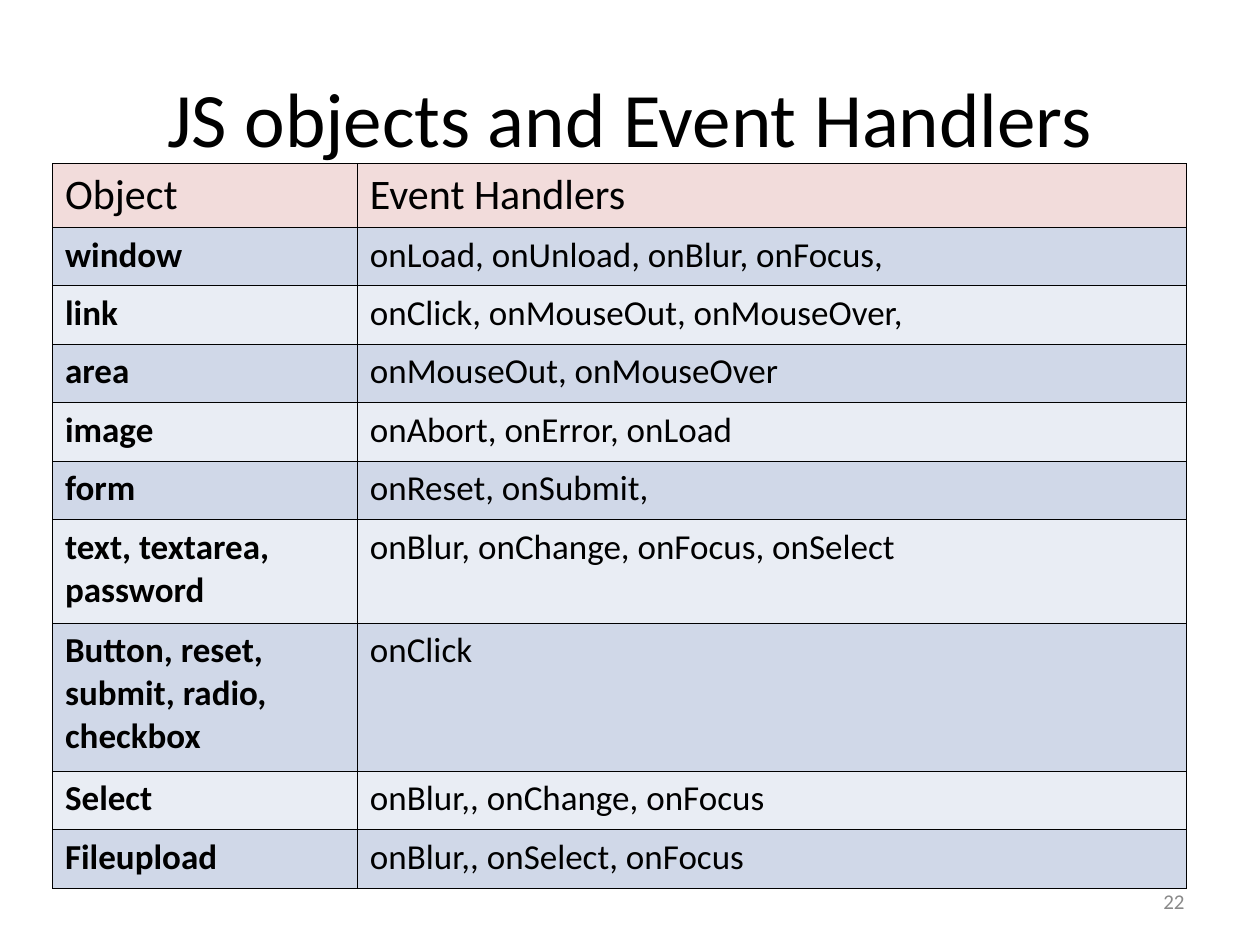
from lxml import etree
from pptx import Presentation
from pptx import util as u
from pptx.dml.color import RGBColor
from pptx.enum import text
from pptx.oxml import ns

BLACK = RGBColor(0x00, 0x00, 0x00)
GREY = RGBColor(0x89, 0x89, 0x89)
HEADER_PINK = RGBColor(0xF2, 0xDC, 0xDB)
BANDS = (RGBColor(0xD0, 0xD8, 0xE8), RGBColor(0xE9, 0xED, 0xF4))

HEADER = ("Object", "Event Handlers")
HEADER_HEIGHT = 36.4
ROW_HEIGHT = 33.4
TALL_ROWS = {"text, textarea, password": 59.3,
             "Button, reset, submit, radio, checkbox": 84.6}
HANDLERS = [
    ("window", "onLoad, onUnload, onBlur, onFocus,"),
    ("link", "onClick, onMouseOut, onMouseOver,"),
    ("area", "onMouseOut, onMouseOver"),
    ("image", "onAbort, onError, onLoad"),
    ("form", "onReset, onSubmit,"),
    ("text, textarea, password", "onBlur, onChange, onFocus, onSelect"),
    ("Button, reset, submit, radio, checkbox", "onClick"),
    ("Select", "onBlur,, onChange, onFocus"),
    ("Fileupload", "onBlur,, onSelect, onFocus"),
]


def write(frame, words, size=20, bold=False, color=BLACK, font="Calibri",
          align=text.PP_ALIGN.LEFT, anchor=text.MSO_ANCHOR.TOP):
    frame.word_wrap = True
    frame.vertical_anchor = anchor
    paragraph = frame.paragraphs[0]
    paragraph.alignment = align
    run = paragraph.add_run()
    run.text = words
    run.font.name = font
    run.font.size = u.Pt(size)
    run.font.bold = bold
    run.font.color.rgb = color


class SlideBuilder:
    border_width = 0.45
    border_color = BLACK

    def __init__(self, slide):
        self.slide = slide

    def place(self, shape, left, top, width, height):
        shape.left, shape.top = u.Pt(left), u.Pt(top)
        shape.width, shape.height = u.Pt(width), u.Pt(height)

    def title(self, words, *box):
        heading = self.slide.shapes.title
        self.place(heading, *box)
        write(heading.text_frame, words, size=44,
              align=text.PP_ALIGN.CENTER, anchor=text.MSO_ANCHOR.MIDDLE)

    def page_number(self, number, *box):
        label = self.slide.shapes.add_textbox(*map(u.Pt, box))
        write(label.text_frame, number, size=12, color=GREY,
              align=text.PP_ALIGN.RIGHT, anchor=text.MSO_ANCHOR.MIDDLE)

    def borders(self, cell):
        properties = cell._tc.get_or_add_tcPr()
        for side in ("a:lnL", "a:lnR", "a:lnT", "a:lnB"):
            line = etree.SubElement(properties, ns.qn(side),
                                    w=str(u.Pt(self.border_width)))
            fill = etree.SubElement(line, ns.qn("a:solidFill"))
            etree.SubElement(fill, ns.qn("a:srgbClr"), val=str(self.border_color))

    def cell(self, cell, words, background, **style):
        self.borders(cell)
        cell.fill.solid()
        cell.fill.fore_color.rgb = background
        write(cell.text_frame, words, **style)

    def table(self, left, top, widths, header, rows):
        heights = [HEADER_HEIGHT] + [TALL_ROWS.get(name, ROW_HEIGHT) for name, _ in rows]
        grid = self.slide.shapes.add_table(
            len(heights), len(widths), u.Pt(left), u.Pt(top),
            u.Pt(sum(widths)), u.Pt(sum(heights))).table
        grid.first_row = grid.horz_banding = False
        for column, width in zip(grid.columns, widths):
            column.width = u.Pt(width)
        for row, height in zip(grid.rows, heights):
            row.height = u.Pt(height)

        # Header row, then alternating bands with bold object names
        for col, words in enumerate(header):
            self.cell(grid.cell(0, col), words, HEADER_PINK, size=24)
        for index, row in enumerate(rows):
            for col, words in enumerate(row):
                self.cell(grid.cell(index + 1, col), words, BANDS[index % 2],
                          bold=col == 0)


def main():
    deck = Presentation()
    deck.slide_width, deck.slide_height = u.Pt(720), u.Pt(540)
    title_only = deck.slide_layouts[5]
    builder = SlideBuilder(deck.slides.add_slide(title_only))

    # Title
    builder.title("JS objects and Event Handlers", 36, 21.6, 648, 90)
    # Objects and their handlers
    builder.table(30, 93.4, (174.2, 473.8), HEADER, HANDLERS)
    # Slide number
    builder.page_number("22", 516, 500.5, 168, 28.8)

    deck.save("out.pptx")


if __name__ == "__main__":
    main()
